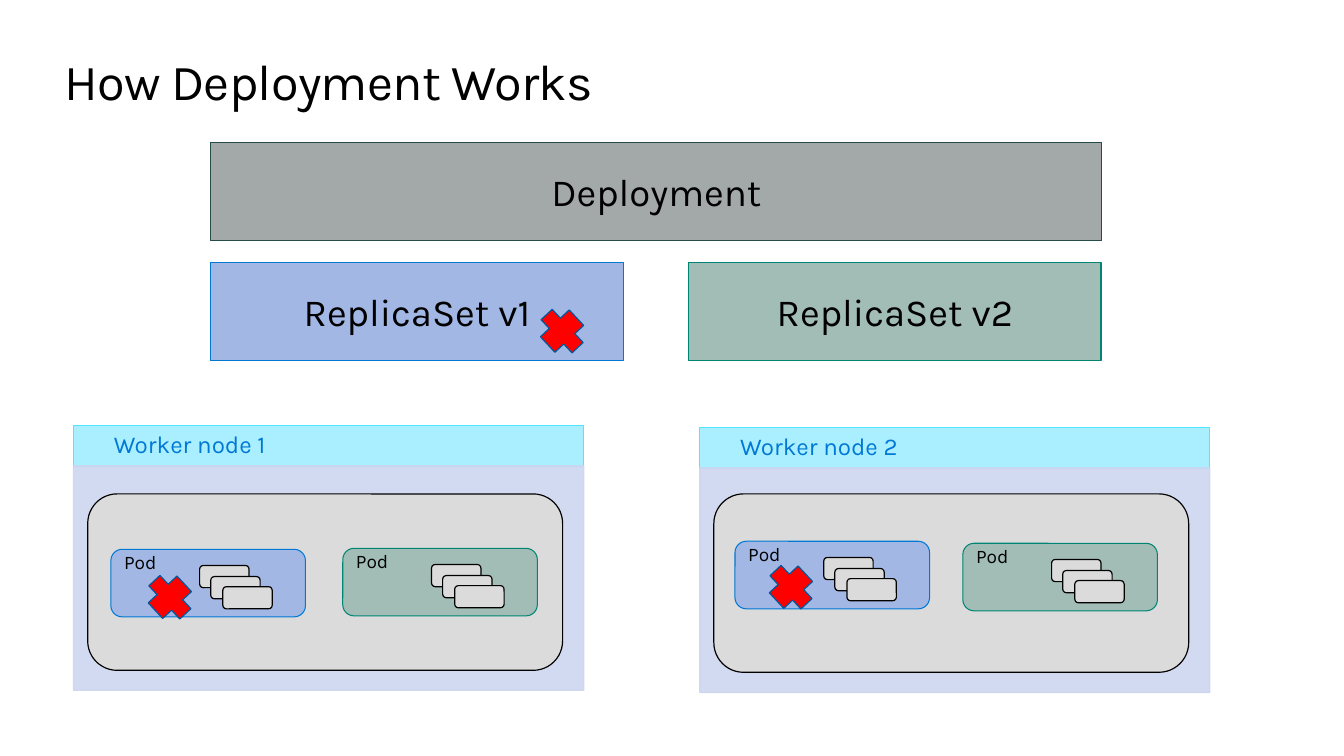
from dataclasses import dataclass
from lxml.etree import SubElement
from pptx import Presentation
from pptx.dml.color import RGBColor
from pptx.enum.shapes import MSO_SHAPE
from pptx.enum.text import MSO_ANCHOR, PP_ALIGN
from pptx.oxml.ns import qn
from pptx.util import Inches, Pt


@dataclass(frozen=True)
class Theme:
    font: str = "Karla"
    ink: str = "000000"
    accent: str = "0078D4"
    gray: str = "DBDBDB"
    deploy: tuple = ("A3A9A8", "274B47")
    v1: tuple = ("A2B7E4", "0078D4")
    v2: tuple = ("A2BCB6", "008575")
    header: tuple = ("AAEFFF", "50E6FF")
    body: tuple = ("CCD6EF", "CCD6EF")
    cross: tuple = ("FF0000", "00599D")
    title_size: float = 36
    bar_size: float = 27.4
    node_size: float = 17.3
    pod_size: float = 13.7
    thin: float = 0.75
    line: float = 0.85


T = Theme()
TITLE = "How Deployment Works"
BARS = [
    ("Deployment", 2.09, 1.41, 8.84, T.deploy),
    ("ReplicaSet v1", 2.09, 2.6, 4.09, T.v1),
    ("ReplicaSet v2", 6.83, 2.6, 4.09, T.v2),
]
NODES = [
    ("Worker node 1", 0.73, 4.22, 1.75),
    ("Worker node 2", 6.94, 4.24, 1.77),
]
PODS = [
    (1.1, 5.45, T.v1),
    (3.4, 5.44, T.v2),
    (7.29, 5.37, T.v1),
    (9.55, 5.39, T.v2),
]
CONTAINERS = [(0.88, 0.16), (0.99, 0.27), (1.11, 0.37)]
CROSSES = [(1.46, 5.73), (7.62, 5.63), (5.35, 3.09)]


def add_box(s, kind, x, y, w, h, colors, width):
    sp = s.shapes.add_shape(kind, Inches(x), Inches(y), Inches(w), Inches(h))
    sp.shadow.inherit = False
    sp.fill.solid()
    sp.fill.fore_color.rgb = RGBColor.from_string(colors[0])
    sp.line.color.rgb = RGBColor.from_string(colors[1])
    sp.line.width = Pt(width)
    return sp


def set_text(sp, text, size, color=T.ink, align=PP_ALIGN.LEFT,
             anchor=MSO_ANCHOR.MIDDLE, insets=(0.1, 0.05, 0.1, 0.05), spacing=1.0):
    tf = sp.text_frame
    sides = ("margin_left", "margin_top", "margin_right", "margin_bottom")
    frame = {"word_wrap": True, "vertical_anchor": anchor}
    frame.update(zip(sides, map(Inches, insets)))
    for name, value in frame.items():
        setattr(tf, name, value)
    p = tf.paragraphs[0]
    p.alignment = align
    p.line_spacing = spacing
    r = p.add_run()
    r.text = text
    for name, value in {"name": T.font, "size": Pt(size), "bold": False}.items():
        setattr(r.font, name, value)
    r.font.color.rgb = RGBColor.from_string(color)
    return r


def set_alpha(sp, percent):
    for clr in sp._element.spPr.iter(qn("a:srgbClr")):
        SubElement(clr, qn("a:alpha")).set("val", str(percent * 1000))


def add_title(s):
    sp = s.shapes.title
    place = {"left": 0.64, "top": 0.5, "width": 12.05, "height": 0.61}
    for name, value in place.items():
        setattr(sp, name, Inches(value))
    r = set_text(sp, TITLE, T.title_size, anchor=MSO_ANCHOR.TOP, insets=(0, 0, 0, 0))
    r.font._element.set("spc", "-50")


def add_node(s, name, x, y, panel_height):
    header = add_box(s, MSO_SHAPE.RECTANGLE, x, y, 5.06, 0.41, T.header, T.thin)
    set_text(header, name, T.node_size, T.accent, insets=(0.4, 0, 0.4, 0), spacing=0.9)
    body = add_box(s, MSO_SHAPE.RECTANGLE, x, y + 0.4, 5.06, 2.23, T.body, T.line)
    set_alpha(body, 90)
    add_box(s, MSO_SHAPE.ROUNDED_RECTANGLE, x + 0.14, 4.9, 4.71, panel_height,
            (T.gray, T.ink), T.line)


def add_pod(s, x, y, colors):
    pod = add_box(s, MSO_SHAPE.ROUNDED_RECTANGLE, x, y, 1.93, 0.67, colors, T.thin)
    set_text(pod, "Pod", T.pod_size, anchor=MSO_ANCHOR.TOP,
             insets=(0.1, 0, 0.2, 0.16), spacing=0.9)
    for dx, dy in CONTAINERS:
        add_box(s, MSO_SHAPE.ROUNDED_RECTANGLE, x + dx, y + dy, 0.49, 0.22,
                (T.gray, T.ink), T.line)


def main():
    prs = Presentation()
    prs.slide_width, prs.slide_height = Inches(13.33), Inches(7.5)
    s = prs.slides.add_slide(prs.slide_layouts[5])
    add_title(s)
    for node in NODES:
        add_node(s, *node)
    for text, x, y, w, colors in BARS:
        bar = add_box(s, MSO_SHAPE.RECTANGLE, x, y, w, 0.98, colors, T.thin)
        set_text(bar, text, T.bar_size, align=PP_ALIGN.CENTER)
    for pod in PODS:
        add_pod(s, *pod)
    for x, y in CROSSES:
        cross = add_box(s, MSO_SHAPE.CROSS, x, y, 0.45, 0.39, T.cross, T.line)
        cross.adjustments[0] = 0.307
        cross.rotation = 47
    prs.save("out.pptx")


if __name__ == "__main__":
    main()
